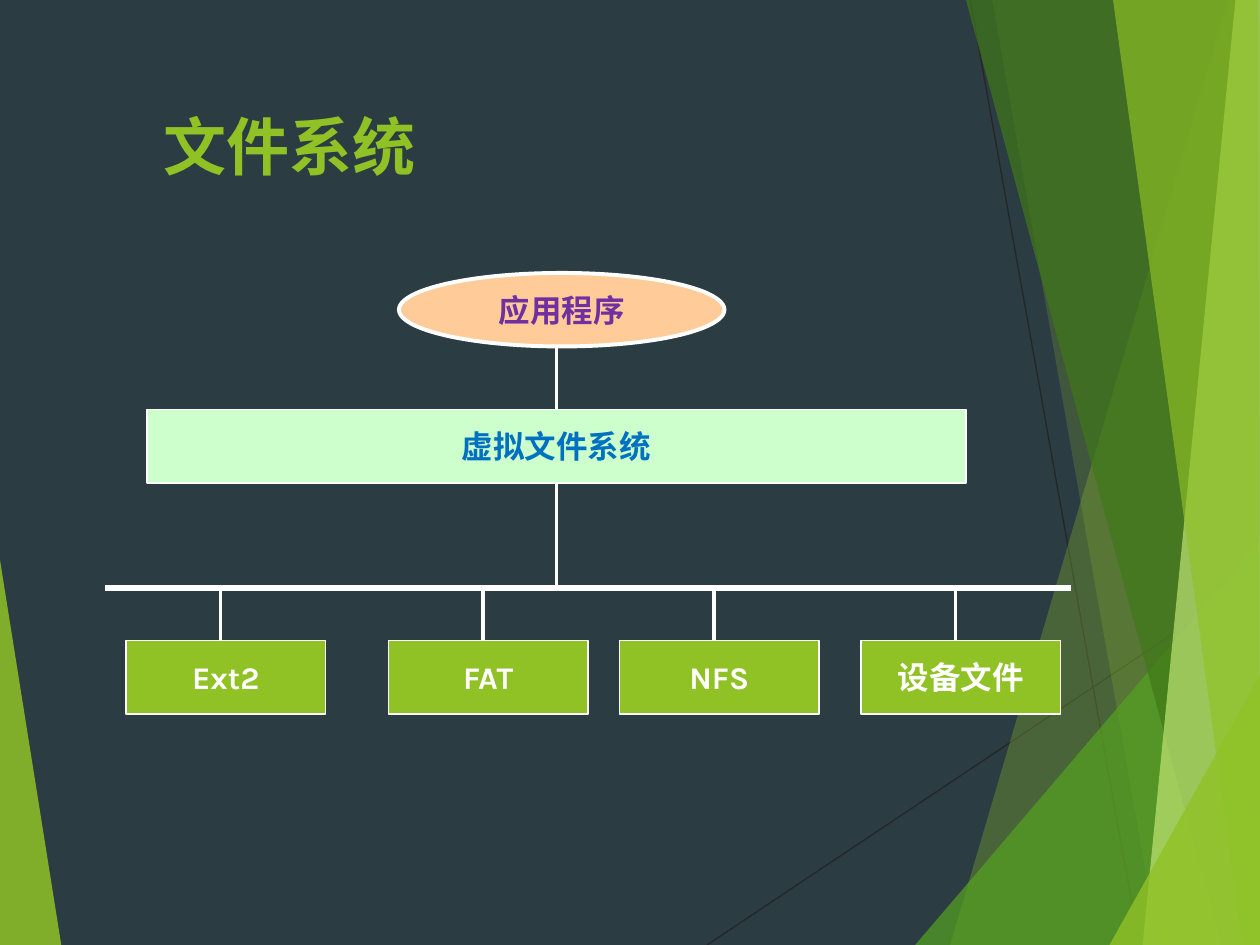
from lxml.etree import SubElement
from pptx import Presentation
from pptx.dml.color import RGBColor
from pptx.enum.shapes import MSO_CONNECTOR, MSO_SHAPE
from pptx.enum.text import MSO_ANCHOR, PP_ALIGN
from pptx.oxml.ns import qn
from pptx.util import Pt

THEME = {
    "font": "Karla", "title": 36, "label": 18,
    "back": "2C3C43", "lime": "90C226", "green": "54A021",
    "forest": "3F7819", "pale": "C0E474", "dark": "262626",
    "white": "FFFFFF", "mint": "CCFFCC", "peach": "FFCC99",
    "blue": "0070C0", "purple": "7030A0",
}
RGB = {k: RGBColor.from_string(v) for k, v in THEME.items()
       if isinstance(v, str) and k != "font"}


def draw_line(x1, y1, x2, y2, width, color="white"):
    line = slide.shapes.add_connector(
        MSO_CONNECTOR.STRAIGHT, Pt(x1), Pt(y1), Pt(x2), Pt(y2))
    line.line.width = Pt(width)
    line.line.color.rgb = RGB[color]
    SubElement(line._element.spPr, qn("a:effectLst"))


def set_text(shape, text, size, color, anchor, align):
    frame = shape.text_frame
    frame.vertical_anchor = anchor
    para = frame.paragraphs[0]
    para.text = text
    para.alignment = align
    para.font.name = THEME["font"]
    para.font.size = Pt(THEME[size])
    para.font.bold = True
    para.font.color.rgb = RGB[color]


deck = Presentation()
deck.slide_width, deck.slide_height = Pt(720), Pt(540)
slide = deck.slides.add_slide(deck.slide_layouts[6])
slide.background.fill.solid()
slide.background.fill.fore_color.rgb = RGB["back"]

draw_line(404, 540, 720, 329, 0.75, "dark")
draw_line(554.5, 0, 651, 540, 0.75, "dark")

facets = [
    ("lime", 85, [(0, 320), (35.3, 540), (0, 540)]),
    ("lime", 30, [(702, 0), (543, 540), (720, 540), (720, 0)]),
    ("lime", 20, [(567.4, 0), (661.7, 540), (720, 540), (720, 0)]),
    ("green", 72, [(522.7, 540), (720, 309), (720, 540)]),
    ("forest", 70, [(552.4, 0), (698.4, 540), (720, 540), (720, 0)]),
    ("pale", 70, [(706.3, 0), (653, 540), (720, 540), (720, 0)]),
    ("lime", 65, [(636, 0), (710, 540), (720, 540), (718.6, 0)]),
    ("lime", 80, [(634.5, 540), (720, 385.5), (720, 540)]),
]
for color, alpha, points in facets:
    path = slide.shapes.build_freeform(*points[0], scale=Pt(1))
    path.add_line_segments(points[1:], close=True)
    facet = path.convert_to_shape()
    facet.shadow.inherit = False
    facet.line.fill.background()
    facet.fill.solid()
    facet.fill.fore_color.rgb = RGB[color]
    tint = facet._element.spPr.find(qn("a:solidFill"))[0]
    SubElement(tint, qn("a:alpha"), val=str(alpha * 1000))

title = slide.shapes.add_textbox(Pt(86.4), Pt(18), Pt(612), Pt(90))
title.text_frame.word_wrap = True
set_text(title, "文件系统", "title", "lime", MSO_ANCHOR.BOTTOM, PP_ALIGN.LEFT)

high, mid, rail, base = 42, 318, 336, 366
rect, oval = MSO_SHAPE.RECTANGLE, MSO_SHAPE.OVAL
nodes = [
    ("虚拟文件系统", rect, 84, 234, 468, "mint", "blue", 0.75),
    ("应用程序", oval, 228, 156, 186, "peach", "purple", 2.25),
]
stems = [(mid, 198, 234), (mid, 276, rail)]
systems = [("Ext2", 72), ("FAT", 222), ("NFS", 354), ("设备文件", 492)]
for name, left in systems:
    nodes.append((name, rect, left, base, 114, "lime", "white", 0.75))
    stems.append((left + 54, rail, base))

for text, kind, left, top, wide, fill, ink, edge in nodes:
    node = slide.shapes.add_shape(kind, Pt(left), Pt(top), Pt(wide), Pt(high))
    node.shadow.inherit = False
    node.fill.solid()
    node.fill.fore_color.rgb = RGB[fill]
    node.line.color.rgb = RGB["white"]
    node.line.width = Pt(edge)
    node.text_frame.word_wrap = False
    set_text(node, text, "label", ink, MSO_ANCHOR.MIDDLE, PP_ALIGN.CENTER)

draw_line(60, rail, 612, rail, 3)
for x, top, end in stems:
    draw_line(x, top, x, end, 2.25)

deck.save("out.pptx")
